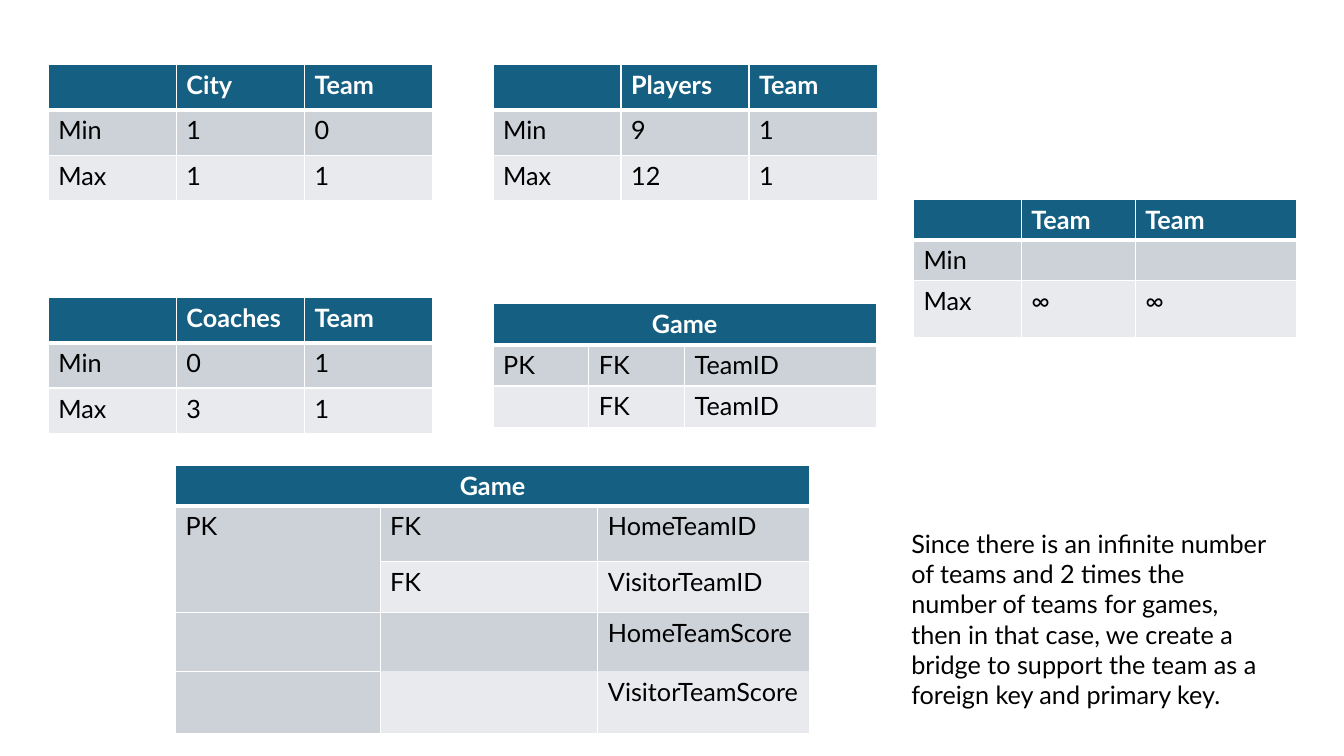
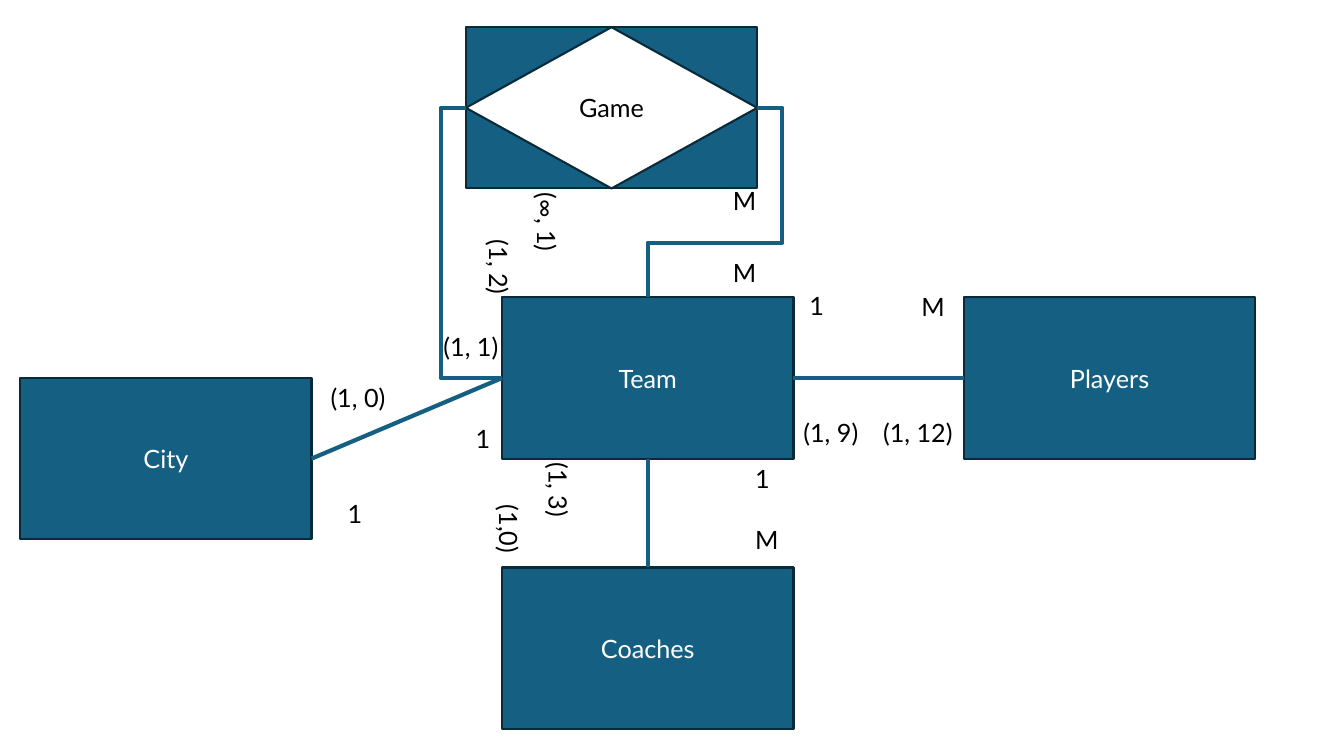
from lxml.etree import SubElement
from pptx import Presentation
from pptx.dml.color import RGBColor
from pptx.enum.shapes import MSO_CONNECTOR as Link, MSO_SHAPE as Shape
from pptx.enum.text import MSO_ANCHOR, MSO_AUTO_SIZE, PP_ALIGN
from pptx.oxml.ns import qn
from pptx.util import Inches, Pt

BLUE = RGBColor(0x15, 0x60, 0x82)
OUTLINE = RGBColor(0x09, 0x2A, 0x39)
DARK_BAND = RGBColor(0xCC, 0xD2, 0xD8)
LIGHT_BAND = RGBColor(0xE8, 0xEA, 0xED)
WHITE = RGBColor(0xFF, 0xFF, 0xFF)
BLACK = RGBColor(0, 0, 0)
FONT, SIZE = "Lato", Pt(18)
TOP, LEFT, BOTTOM, RIGHT = range(4)

THIRDS = [1.27] * 3
EVEN_ROWS = [0.45] * 3
HEADER_SPAN = (0, 0, 0, 2)

# left, top, column widths, row heights, cell texts, merges (row, col, row, col)
TABLES = [
    (0.48, 0.64, THIRDS, EVEN_ROWS,
     [["", "City", "Team"], ["Min", "1", "0"], ["Max", "1", "1"]], []),
    (4.89, 0.64, THIRDS, EVEN_ROWS,
     [["", "Players", "Team"], ["Min", "9", "1"], ["Max", "12", "1"]], []),
    (0.48, 2.95, THIRDS, EVEN_ROWS,
     [["", "Coaches", "Team"], ["Min", "0", "1"], ["Max", "3", "1"]], []),
    (4.89, 3.01, [0.95, 0.95, 1.9], [0.41] * 3,
     [["Game", "", ""], ["PK", "FK", "TeamID"], ["", "FK", "TeamID"]],
     [HEADER_SPAN]),
    (9.06, 1.98, [1.07, 1.13, 1.6], [0.4, 0.4, 0.57],
     [["", "Team", "Team"], ["Min", "", ""], ["Max", "∞", "∞"]], []),
    (1.74, 4.62, [2.03, 2.16, 2.1], [0.38, 0.55, 0.51, 0.58, 0, 0.62],
     [["Game", "", ""], ["PK", "FK", "HomeTeamID"], ["", "FK", "VisitorTeamID"],
      ["", "", "HomeTeamScore"], ["", "", "VisitorTeamScore"], ["", "", ""]],
     [HEADER_SPAN, (1, 0, 2, 0), (3, 0, 4, 0), (4, 1, 5, 1), (4, 2, 5, 2)]),
]
EXPLANATION = ("Since there is an infinite number of teams and 2 times the number of "
               "teams for games, then in that case, we create a bridge to support the "
               "team as a foreign key and primary key.")

ENTITY_SIZE = (2.89, 1.6)
ENTITIES = [("City", 0.2, 3.75), ("Team", 4.98, 2.95),
            ("Players", 9.56, 2.95), ("Coaches", 4.98, 5.63)]
GAME_AT = (4.62, 0.27)

# from entity, side, to entity, side, bent preset, bend adjustments
RELATIONS = [
    ("City", RIGHT, "Team", LEFT, None, []),
    ("Team", RIGHT, "Players", LEFT, None, []),
    ("Team", BOTTOM, "Coaches", TOP, None, []),
    ("Game", RIGHT, "Team", TOP, "bentConnector4", [-23100, 71200]),
    ("Game", LEFT, "Team", LEFT, "bentConnector3", [-69200]),
]

# text, left, top, width, rotation
LABELS = [
    ("1", 3.35, 4.89, 0.54, 0), ("1", 4.62, 4.15, 0.54, 0),
    ("1", 7.93, 2.83, 0.54, 0), ("M", 7.39, 5.15, 0.54, 0),
    ("1", 7.39, 4.55, 0.54, 0), ("M", 9.04, 2.84, 0.54, 0),
    ("M", 7.17, 2.5, 0.54, 0), ("M", 7.17, 1.79, 0.54, 0),
    ("(1, 0)", 3.18, 3.74, 0.76, 0), ("(1, 1)", 4.3, 3.24, 0.76, 0),
    ("(1, 9)", 7.87, 4.09, 0.76, 0), ("(1, 12)", 8.66, 4.09, 0.89, 0),
    ("(1, 3)", 5.16, 4.67, 0.76, 90), ("(1,0)", 4.67, 5.09, 0.76, 90),
    ("(1, 2)", 4.57, 2.46, 0.76, 90), ("(∞, 1)", 4.97, 2.07, 0.91, 90),
]


def write(frame, text, color, bold=False, align=PP_ALIGN.LEFT):
    frame.text = text
    paragraph = frame.paragraphs[0]
    paragraph.alignment = align
    for font in [paragraph.font] + [run.font for run in paragraph.runs]:
        font.name, font.size, font.bold = FONT, SIZE, bold
        font.color.rgb = color


def add_label(slide, text, left, top, width, height=0.4, rotation=0):
    box = slide.shapes.add_textbox(*map(Inches, (left, top, width, height)))
    box.rotation = rotation
    write(box.text_frame, text, BLACK)
    box.text_frame.word_wrap = True
    box.text_frame.auto_size = MSO_AUTO_SIZE.SHAPE_TO_FIT_TEXT


def set_borders(cell, top, bottom):
    """Draw white borders, 1 pt at the sides and the given points above and below."""
    properties = cell._tc.get_or_add_tcPr()
    for side, points in (("L", 1), ("R", 1), ("T", top), ("B", bottom)):
        line = SubElement(properties, qn(f"a:ln{side}"), w=str(Pt(points)))
        fill = SubElement(line, qn("a:solidFill"))
        SubElement(fill, qn("a:srgbClr"), val=str(WHITE))


def add_banded_table(slide, left, top, widths, heights, rows, merges):
    area = map(Inches, (left, top, sum(widths), sum(heights)))
    table = slide.shapes.add_table(len(rows), len(widths), *area).table
    for column, width in zip(table.columns, widths):
        column.width = Inches(width)
    for table_row, height in zip(table.rows, heights):
        table_row.height = Inches(height)
    for r, row in enumerate(rows):
        header = r == 0
        band = BLUE if header else DARK_BAND if r % 2 else LIGHT_BAND
        centred = header and HEADER_SPAN in merges
        for c, text in enumerate(row):
            cell = table.cell(r, c)
            set_borders(cell, 3 if r == 1 else 1, 3 if header else 1)
            cell.fill.solid()
            cell.fill.fore_color.rgb = band
            write(cell.text_frame, text, WHITE if header else BLACK, header,
                  PP_ALIGN.CENTER if centred else PP_ALIGN.LEFT)
    for r1, c1, r2, c2 in merges:
        table.cell(r1, c1).merge(table.cell(r2, c2))


def add_entity(slide, text, left, top, preset=Shape.RECTANGLE, fill=BLUE, color=WHITE):
    entity = slide.shapes.add_shape(preset, *map(Inches, (left, top, *ENTITY_SIZE)))
    entity.shadow.inherit = False
    entity.fill.solid()
    entity.fill.fore_color.rgb = fill
    entity.line.color.rgb = OUTLINE
    entity.line.width = Pt(1.5)
    if text:
        write(entity.text_frame, text, color, align=PP_ALIGN.CENTER)
        entity.text_frame.vertical_anchor = MSO_ANCHOR.MIDDLE
    return entity


def add_relation(slide, start, start_side, end, end_side, bent, bends):
    relation = slide.shapes.add_connector(
        Link.ELBOW if bent else Link.STRAIGHT, 0, 0, 0, 0)
    relation.begin_connect(start, start_side)
    relation.end_connect(end, end_side)
    relation.line.color.rgb = BLUE
    relation.line.width = Pt(3)
    properties = relation._element.spPr
    SubElement(properties, qn("a:effectLst"))
    if bent:
        geometry = properties.find(qn("a:prstGeom"))
        geometry.set("prst", bent)
        guides = geometry.find(qn("a:avLst"))
        for number, bend in enumerate(bends, 1):
            SubElement(guides, qn("a:gd"), name=f"adj{number}", fmla=f"val {bend}")


def build_tables(slide):
    for table in TABLES:
        add_banded_table(slide, *table)
    add_label(slide, EXPLANATION, 8.94, 5.19, 3.8, 1.92)


def build_diagram(slide):
    entities = {name: add_entity(slide, name, left, top) for name, left, top in ENTITIES}
    add_entity(slide, "", *GAME_AT)
    entities["Game"] = add_entity(slide, "Game", *GAME_AT, Shape.DIAMOND, WHITE, BLACK)
    for start, start_side, end, end_side, bent, bends in RELATIONS:
        add_relation(slide, entities[start], start_side, entities[end], end_side,
                     bent, bends)
    for text, left, top, width, rotation in LABELS:
        add_label(slide, text, left, top, width, rotation=rotation)


def main():
    deck = Presentation()
    deck.slide_width, deck.slide_height = Inches(13.33), Inches(7.5)
    for build in (build_tables, build_diagram):
        build(deck.slides.add_slide(deck.slide_layouts[6]))
    deck.save("out.pptx")


if __name__ == "__main__":
    main()
